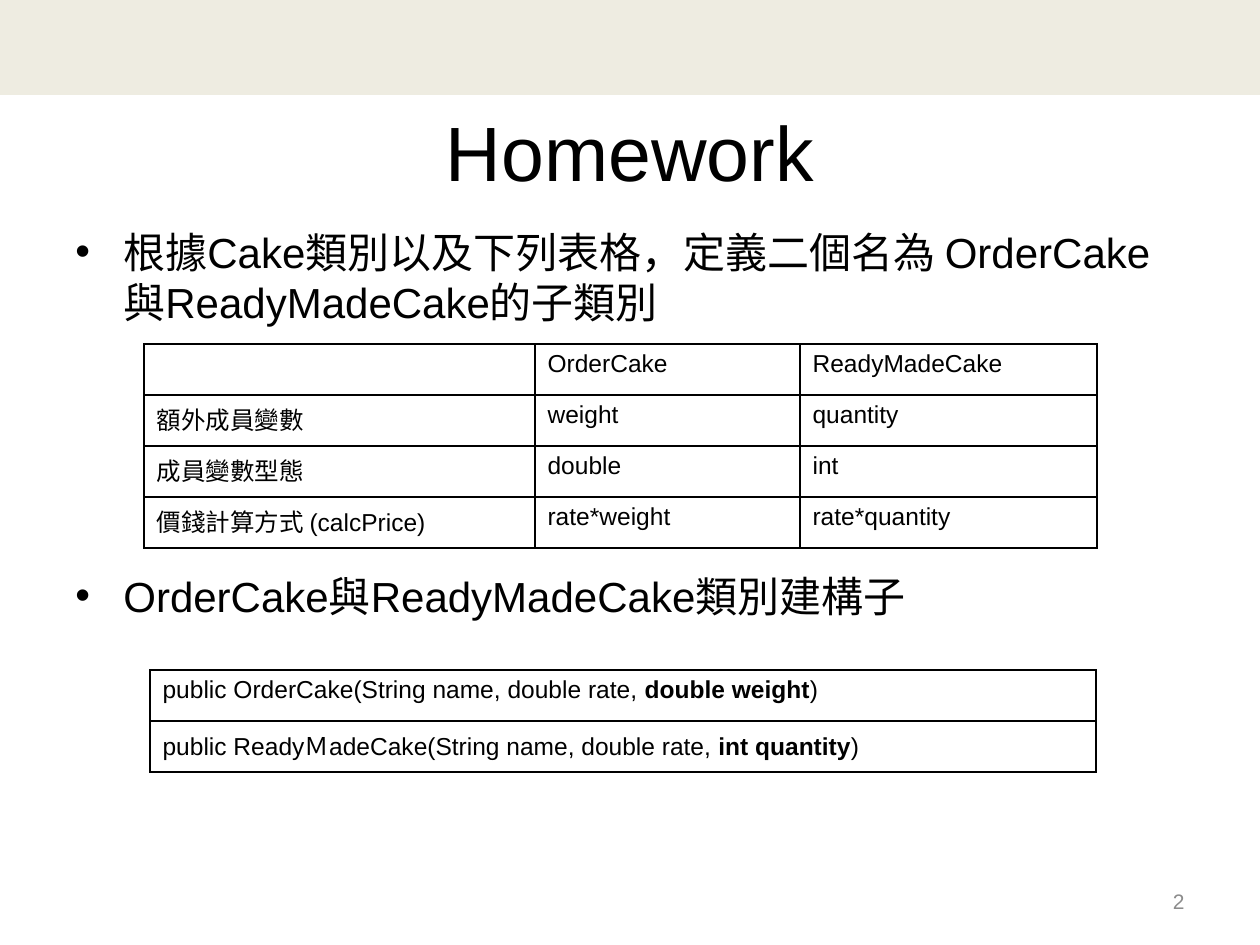
"""Build the Homework slide: two bullets, a subclass table and a constructor table."""
from dataclasses import dataclass

from lxml import etree
from pptx import Presentation
from pptx.dml.color import RGBColor
from pptx.enum.shapes import MSO_SHAPE
from pptx.enum.text import MSO_ANCHOR, PP_ALIGN
from pptx.oxml.ns import qn
from pptx.util import Pt

PX = 914400 / 126
RECT = MSO_SHAPE.RECTANGLE
TOP, MIDDLE = MSO_ANCHOR.TOP, MSO_ANCHOR.MIDDLE
LEFT, CENTER, RIGHT = PP_ALIGN.LEFT, PP_ALIGN.CENTER, PP_ALIGN.RIGHT
FONT = "Arial"
COLORS = {"band": "EEECE1", "text": "000000", "number": "8C8C8C", "border": "000000"}
ROW_H = 51
BULLET_INDENT = 48


@dataclass(frozen=True)
class Box:
    x: int
    y: int
    w: int
    h: int


@dataclass(frozen=True)
class Grid:
    x: int
    y: int
    cols: tuple[int, ...]
    rows: tuple[tuple[str, ...], ...]


GRIDS = (
    Grid(144, 344, (391, 265, 297), (
        ("", "OrderCake", "ReadyMadeCake"),
        ("額外成員變數", "weight", "quantity"),
        ("成員變數型態", "double", "int"),
        ("價錢計算方式 (calcPrice)", "rate*weight", "rate*quantity"),
    )),
    Grid(150, 670, (946,), (
        ("public OrderCake(String name, double rate, **double weight**)",),
        ("public ReadyＭadeCake(String name, double rate, **int quantity**)",),
    )),
)
BULLETS = (
    ("根據Cake類別以及下列表格，定義二個名為 OrderCake與ReadyMadeCake的子類別", 4.8),
    ("OrderCake與ReadyMadeCake類別建構子", 139),
)


def emu(px: int) -> int:
    """Turn px into EMU."""
    return round(px * PX)


def write(p, text: str, *, size: int, color: str = "text", align=LEFT,
          before: float = 0, bullet: bool = False) -> None:
    """Fill a paragraph; text between double asterisks is bold."""
    p.alignment = align
    p.space_before = Pt(before)
    if bullet:
        pPr = p._p.get_or_add_pPr()
        pPr.set("marL", str(emu(BULLET_INDENT)))
        pPr.set("indent", str(-emu(BULLET_INDENT)))
        etree.SubElement(pPr, qn("a:buFont"), typeface=FONT)
        etree.SubElement(pPr, qn("a:buChar"), char="•")
    for i, part in enumerate(text.split("**")):
        if part:
            r = p.add_run()
            r.text = part
            r.font.name, r.font.size, r.font.bold = FONT, Pt(size), i % 2 == 1
            r.font.color.rgb = RGBColor.from_string(COLORS[color])


def add_text_frame(s, box: Box, anchor=MIDDLE):
    """Add a wrapping text box and return its text frame."""
    tf = s.shapes.add_textbox(*map(emu, (box.x, box.y, box.w, box.h))).text_frame
    tf.word_wrap = True
    tf.vertical_anchor = anchor
    return tf


def add_borders(cell) -> None:
    """Draw a thin line on each side of a cell."""
    tcPr = cell._tc.get_or_add_tcPr()
    for i, side in enumerate(("lnL", "lnR", "lnT", "lnB")):
        ln = etree.Element(qn(f"a:{side}"), w=str(Pt(0.75)))
        fill = etree.SubElement(ln, qn("a:solidFill"))
        etree.SubElement(fill, qn("a:srgbClr"), val=COLORS["border"])
        tcPr.insert(i, ln)


def add_grid(s, grid: Grid) -> None:
    """Add a bordered table without fill."""
    n = len(grid.rows)
    size = (grid.x, grid.y, sum(grid.cols), n * ROW_H)
    table = s.shapes.add_table(n, len(grid.cols), *map(emu, size)).table
    table.first_row = table.horz_banding = False
    for col, w in zip(table.columns, grid.cols):
        col.width = emu(w)
    for i, texts in enumerate(grid.rows):
        table.rows[i].height = emu(ROW_H)
        for j, text in enumerate(texts):
            cell = table.cell(i, j)
            cell.fill.background()
            add_borders(cell)
            write(cell.text_frame.paragraphs[0], text, size=14)


def main() -> None:
    """Build and save the slide."""
    prs = Presentation()
    prs.slide_width, prs.slide_height = emu(1260), emu(945)
    s = prs.slides.add_slide(prs.slide_layouts[6])

    band = s.shapes.add_shape(RECT, 0, 0, emu(1260), emu(95))
    band.shadow.inherit = False
    band.fill.solid()
    band.fill.fore_color.rgb = RGBColor.from_string(COLORS["band"])
    band.line.fill.background()

    title = add_text_frame(s, Box(63, 96, 1134, 110))
    write(title.paragraphs[0], "Homework", size=44, align=CENTER)

    body = add_text_frame(s, Box(63, 220, 1134, 624), TOP)
    for i, (text, before) in enumerate(BULLETS):
        p = body.add_paragraph() if i else body.paragraphs[0]
        write(p, text, size=24, before=before, bullet=True)

    number = add_text_frame(s, Box(903, 876, 294, 50))
    write(number.paragraphs[0], "2", size=12, color="number", align=RIGHT)

    for grid in GRIDS:
        add_grid(s, grid)
    prs.save("out.pptx")


if __name__ == "__main__":
    main()
